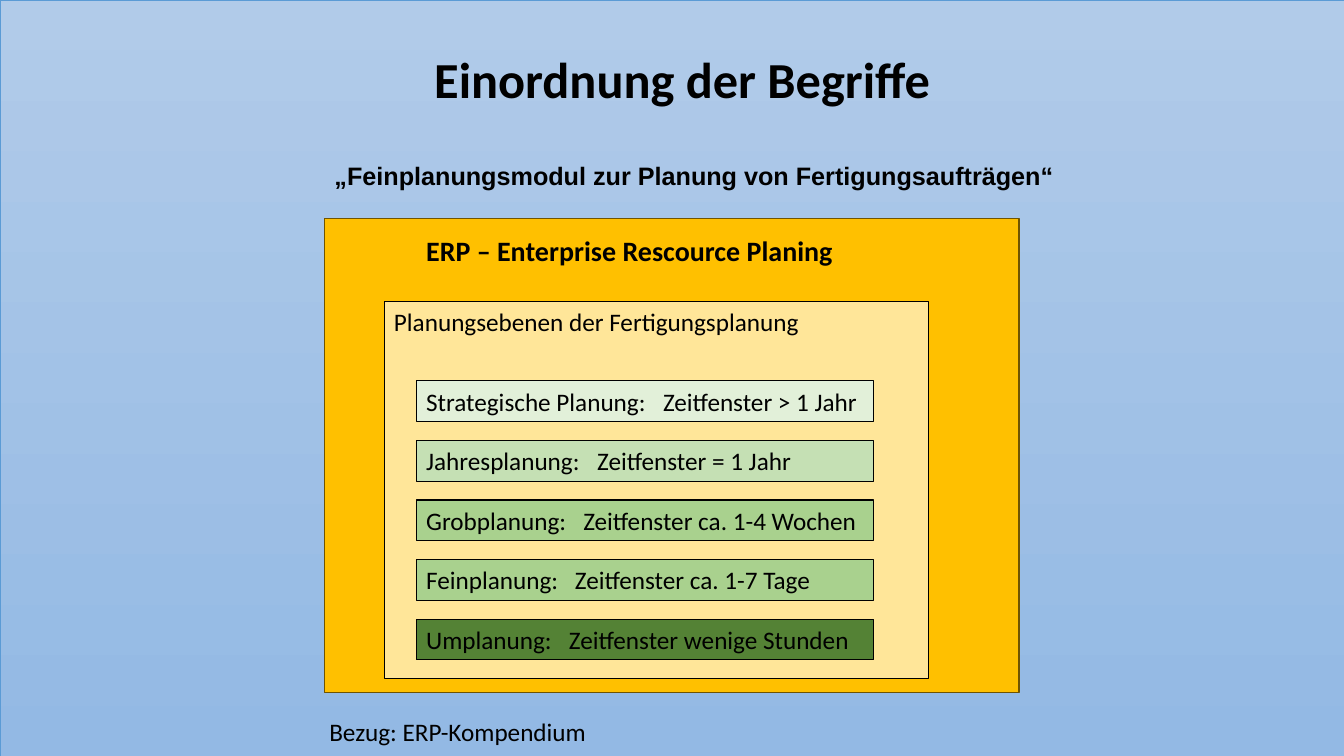
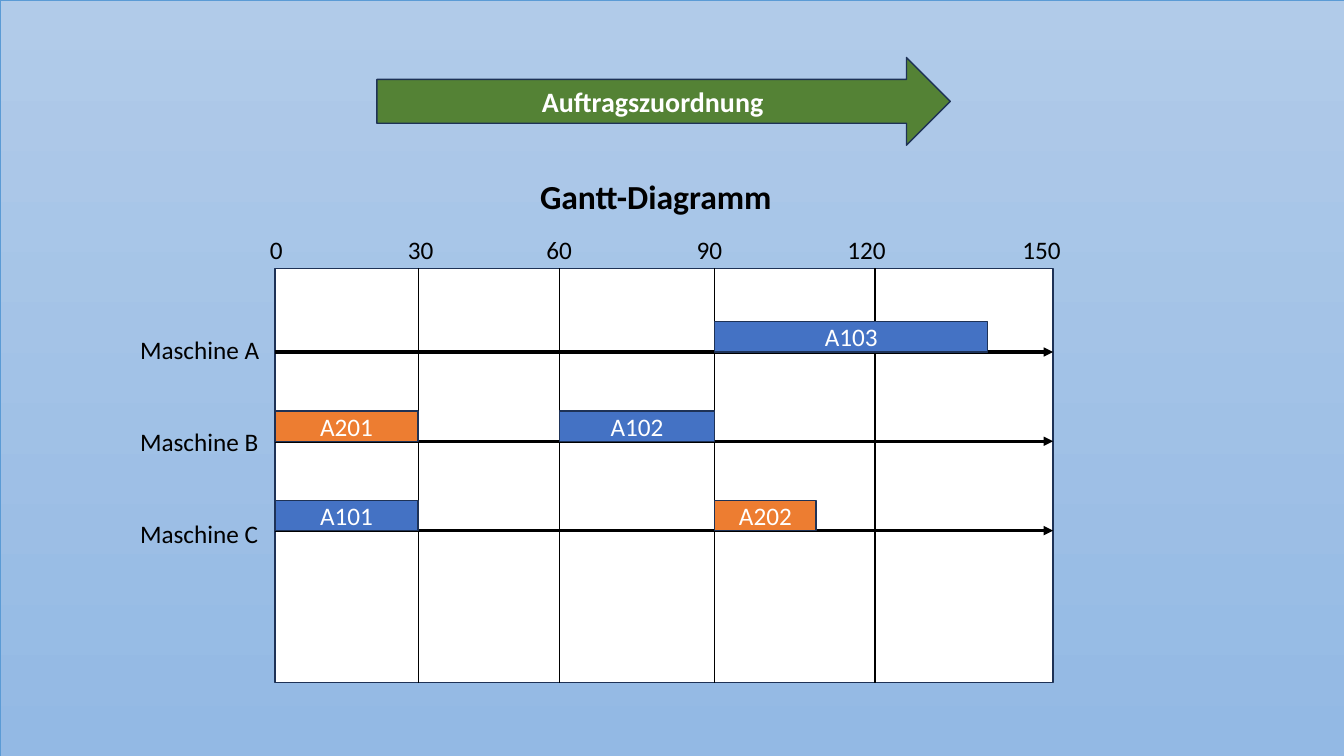
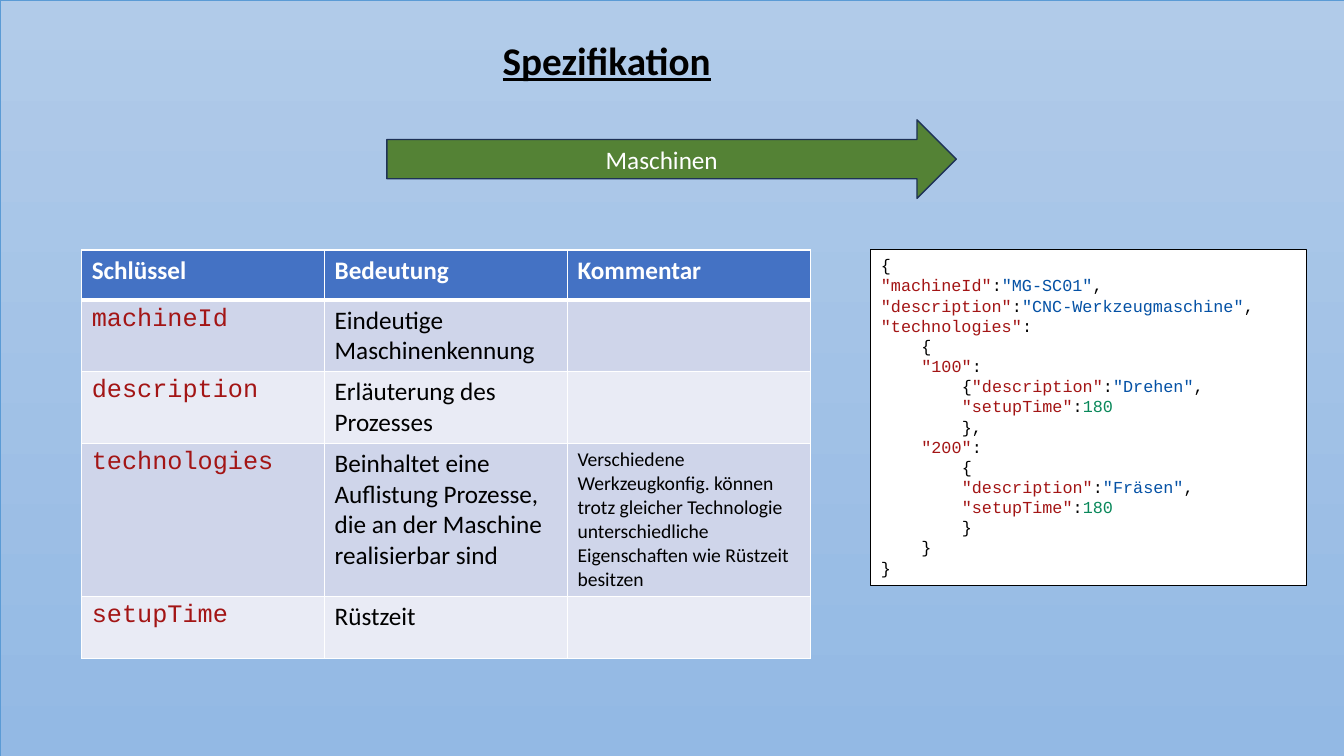
"""Builds three slides on production planning: terms, Gantt chart and specification."""
from lxml import etree
from pptx import Presentation
from pptx.dml.color import RGBColor
from pptx.enum.shapes import MSO_CONNECTOR, MSO_SHAPE
from pptx.enum.text import MSO_ANCHOR, PP_ALIGN
from pptx.oxml.ns import qn
from pptx.util import Cm, Pt

RECT, ARROW = MSO_SHAPE.RECTANGLE, MSO_SHAPE.RIGHT_ARROW
LINE = MSO_CONNECTOR.STRAIGHT
TOP, MID = MSO_ANCHOR.TOP, MSO_ANCHOR.MIDDLE
LEFT, MIDDLE = PP_ALIGN.LEFT, PP_ALIGN.CENTER

WIDE, HIGH = 33.87, 19.05
BLACK, WHITE, NAVY = "000000", "FFFFFF", "1E3256"
BLUE, ORANGE, GREEN = "4472C4", "ED7D31", "548235"
SKY, DEEP, EDGE = "B1CBE9", "93B9E4", "5B9BD5"
RED, VALUE, NUMBER = "A31515", "0451A5", "09885A"
BAND = ("CFD5EA", "E9EBF5")
SANS, MONO = "Calibri", "Courier New"

LEVELS = [
    ("Strategische Planung:", "Zeitfenster > 1 Jahr", 5.97, "E2F0D9"),
    ("Jahresplanung:", "Zeitfenster = 1 Jahr", 4.31, "C5E0B4"),
    ("Grobplanung:", "Zeitfenster ca. 1-4 Wochen", 3.96, "A9D18E"),
    ("Feinplanung:", "Zeitfenster ca. 1-7 Tage", 3.75, "A9D18E"),
    ("Umplanung:", "Zeitfenster wenige Stunden", 3.6, GREEN),
]

STEP = 30
TICKS = [6.93, 10.54, 14.1, 18.01, 22.05, 26.54]
STOPS = [3.8, 7.29, 11.08, 15.04, 19.45]
ROWS = ["Maschine A", "Maschine B", "Maschine C"]
JOBS = [
    ("A101", 2, 0, 30, BLUE),
    ("A102", 1, 60, 90, BLUE),
    ("A103", 0, 90, 139, BLUE),
    ("A201", 1, 0, 30, ORANGE),
    ("A202", 2, 90, 109, ORANGE),
]

HEAD = ["Schlüssel", "Bedeutung", "Kommentar"]
KEYS = [
    ("machineId", "Eindeutige Maschinenkennung", ""),
    ("description", "Erläuterung des Prozesses", ""),
    ("technologies",
     "Beinhaltet eine Auflistung Prozesse, die an der Maschine realisierbar sind",
     "Verschiedene Werkzeugkonfig. können trotz gleicher Technologie "
     "unterschiedliche Eigenschaften wie Rüstzeit besitzen"),
    ("setupTime", "Rüstzeit", ""),
]
TALL = [1.26, 1.78, 1.78, 3.82, 1.56]
CODE = [
    (0, "{", "", "", ""),
    (0, "", '"machineId"', '"MG-SC01"', ","),
    (0, "", '"description"', '"CNC-Werkzeugmaschine"', ","),
    (0, "", '"technologies"', "", ""),
    (1, "{", "", "", ""),
    (1, "", '"100"', "", ""),
    (2, "{", '"description"', '"Drehen"', ","),
    (2, "", '"setupTime"', "180", ""),
    (2, "},", "", "", ""),
    (1, "", '"200"', "", ""),
    (2, "{", "", "", ""),
    (2, "", '"description"', '"Fräsen"', ","),
    (2, "", '"setupTime"', "180", ""),
    (2, "}", "", "", ""),
    (1, "}", "", "", ""),
    (0, "}", "", "", ""),
]


def rgb(code):
    """Turn a hex string into a colour."""
    return RGBColor.from_string(code)


def write(para, runs, size=18, **form):
    """Add coloured runs to a paragraph with one set of font values."""
    values = {"name": SANS, "size": Pt(size), **form}
    for text, tone in runs:
        run = para.add_run()
        run.text = text
        run.font.color.rgb = rgb(tone)
        for key, value in values.items():
            setattr(run.font, key, value)


def fill(shape, text, tone=BLACK, anchor=TOP, align=LEFT, **form):
    """Put one line of text in a shape and return its paragraph."""
    frame = shape.text_frame
    frame.word_wrap = True
    frame.vertical_anchor = anchor
    para = frame.paragraphs[0]
    para.alignment = align
    if text:
        write(para, [(text, tone)], **form)
    return para


def label(slide, box, text, **form):
    """Add a text box and return its paragraph."""
    return fill(slide.shapes.add_textbox(*map(Cm, box)), text, **form)


def block(slide, box, tone, edge=BLACK, width=0.75, kind=RECT):
    """Add a filled and outlined shape."""
    shape = slide.shapes.add_shape(kind, *map(Cm, box))
    shape.shadow.inherit = False
    shape.fill.solid()
    shape.fill.fore_color.rgb = rgb(tone)
    shape.line.color.rgb = rgb(edge)
    shape.line.width = Pt(width)
    return shape


def arrow(slide, box, text, **form):
    """Add the green topic arrow."""
    shape = block(slide, box, GREEN, NAVY, 1, ARROW)
    fill(shape, text, WHITE, MID, MIDDLE, **form)


def rule(slide, ends, width, tip=False):
    """Add a black line, with an arrowhead if asked."""
    link = slide.shapes.add_connector(LINE, *map(Cm, ends))
    link.line.color.rgb = rgb(BLACK)
    link.line.width = Pt(width)
    if tip:
        line = link.line._get_or_add_ln()
        etree.SubElement(line, qn("a:tailEnd"), type="triangle")
    etree.SubElement(link._element.spPr, qn("a:effectLst"))


def tabs(para, stops, align):
    """Set the tab stops of a paragraph."""
    group = etree.SubElement(para._p.get_or_add_pPr(), qn("a:tabLst"))
    for stop in stops:
        etree.SubElement(group, qn("a:tab"), pos=str(Cm(stop)), algn=align)


def border(cell, low):
    """Give a cell white borders, the lower one as wide as asked."""
    props = cell._tc.get_or_add_tcPr()
    for side, width in (("L", 1), ("R", 1), ("T", 1), ("B", low)):
        line = etree.SubElement(props, qn("a:ln" + side), w=str(Pt(width)))
        paint = etree.SubElement(line, qn("a:solidFill"))
        etree.SubElement(paint, qn("a:srgbClr"), val=WHITE)


def start(deck):
    """Add a blank slide with the shared sky backdrop."""
    slide = deck.slides.add_slide(deck.slide_layouts[6])
    back = block(slide, (0, 0, WIDE, HIGH), SKY, EDGE, 0.5)
    back.fill.gradient()
    back.fill.gradient_angle = 270
    for stop, tone in zip(back.fill.gradient_stops, (SKY, DEEP)):
        stop.color.rgb = rgb(tone)
    return slide


def terms(slide):
    """Draw the nested planning levels."""
    title = label(slide, (2.59, 0.23, 29.21, 3.68), "Einordnung der Begriffe",
                  anchor=MID, align=MIDDLE, size=36, bold=True)
    title.line_spacing = 0.9
    label(slide, (8.18, 3.91, 18.87, 1.02),
          "„Feinplanungsmodul zur Planung von Fertigungsaufträgen“",
          name="Arial", bold=True)
    block(slide, (8.18, 5.51, 17.5, 11.94), "FFC000", "705400", 1)
    inner = block(slide, (9.68, 7.6, 13.72, 9.5), "FFE699")
    fill(inner, "Planungsebenen der Fertigungsplanung")
    label(slide, (10.49, 5.77, 13.44, 1.12),
          "ERP – Enterprise Rescource Planing", size=20, bold=True)
    for row, (name, span, stop, tone) in enumerate(LEVELS):
        bar = block(slide, (10.49, 9.6 + 1.5 * row, 11.53, 1.03), tone)
        tabs(fill(bar, name + "\t" + span), [stop], "l")
    label(slide, (8.05, 17.93, 19, 1.02), "Bezug: ERP-Kompendium")


def place(time):
    """Find where a time lies on the axis."""
    col = min(time // STEP, len(TICKS) - 2)
    part = (time - col * STEP) / STEP
    return TICKS[col] + part * (TICKS[col + 1] - TICKS[col])


def gantt(slide):
    """Draw the Gantt chart."""
    top, base, first, pitch, thick = 6.76, 17.2, 8.87, 2.25, 0.76
    left, right = TICKS[0], TICKS[-1]
    arrow(slide, (9.5, 1.45, 14.45, 2.21), "Auftragszuordnung",
          size=20, bold=True)
    block(slide, (left, top, right - left, base - top), WHITE, NAVY, 1)
    for tick in TICKS[1:-1]:
        rule(slide, (tick, top, tick, base), 1)
    times = [str(STEP * col) for col in range(len(TICKS))]
    axis = label(slide, (6.55, 5.79, 20.9, 1.02), "\t".join(times))
    tabs(axis, STOPS, "ctr")
    names = slide.shapes.add_textbox(*map(Cm, (3.28, 8.31, 3.63, 5.64)))
    para = fill(names, ROWS[0])
    for name in ROWS[1:]:
        para = names.text_frame.add_paragraph()
        para.space_before = Pt(44)
        write(para, [(name, BLACK)])
    for row in range(len(ROWS)):
        high = first + pitch * row
        rule(slide, (left, high, right, high), 2.25, True)
    for name, row, begin, end, tone in JOBS:
        from_x, to_x = place(begin), place(end)
        high = first + pitch * row - thick
        bar = block(slide, (from_x, high, to_x - from_x, thick), tone, NAVY, 1)
        fill(bar, name, WHITE, MID, MIDDLE)
    label(slide, (13.36, 4.32, 11.02, 1.27), "Gantt-Diagramm",
          size=24, bold=True)


def listing(slide):
    """Draw the coloured code box."""
    box = block(slide, (21.95, 6.3, 10.97, 8.46), WHITE)
    para = fill(box, "")
    for row, (depth, lead, key, value, tail) in enumerate(CODE):
        if row:
            para = box.text_frame.add_paragraph()
            para.alignment = LEFT
        para._p.get_or_add_pPr().set("marL", str(Cm(1.02 * depth)))
        kind = VALUE if value.startswith('"') else NUMBER
        runs = [(lead, BLACK), (key, RED), (":" if key else "", BLACK),
                (value, kind), (tail, BLACK)]
        write(para, [run for run in runs if run[0]], 12, name=MONO)


def grid(slide):
    """Draw the table of keys."""
    area = map(Cm, (2.06, 6.3, 18.36, sum(TALL)))
    table = slide.shapes.add_table(len(TALL), len(HEAD), *area).table
    for row, cells in enumerate([HEAD, *KEYS]):
        table.rows[row].height = Cm(TALL[row])
        for col, text in enumerate(cells):
            cell = table.cell(row, col)
            border(cell, 1 if row else 3)
            cell.fill.solid()
            cell.fill.fore_color.rgb = rgb(BAND[(row - 1) % 2] if row else BLUE)
            tone, form = BLACK, {"bold": not row}
            if not row:
                tone = WHITE
            elif col == 0:
                tone, form["name"] = RED, MONO
            elif col == 2:
                form["size"] = 14
            if text:
                write(cell.text_frame.paragraphs[0], [(text, tone)], **form)


def keys(slide):
    """Draw the machine specification."""
    arrow(slide, (9.75, 3.02, 14.35, 1.98), "Maschinen")
    listing(slide)
    grid(slide)
    label(slide, (12.42, 0.79, 9.91, 1.45), "Spezifikation",
          size=28, bold=True, underline=True)


def main():
    """Build and save the deck."""
    deck = Presentation()
    deck.slide_width, deck.slide_height = Cm(WIDE), Cm(HIGH)
    for draw in (terms, gantt, keys):
        draw(start(deck))
    deck.save("out.pptx")


if __name__ == "__main__":
    main()
